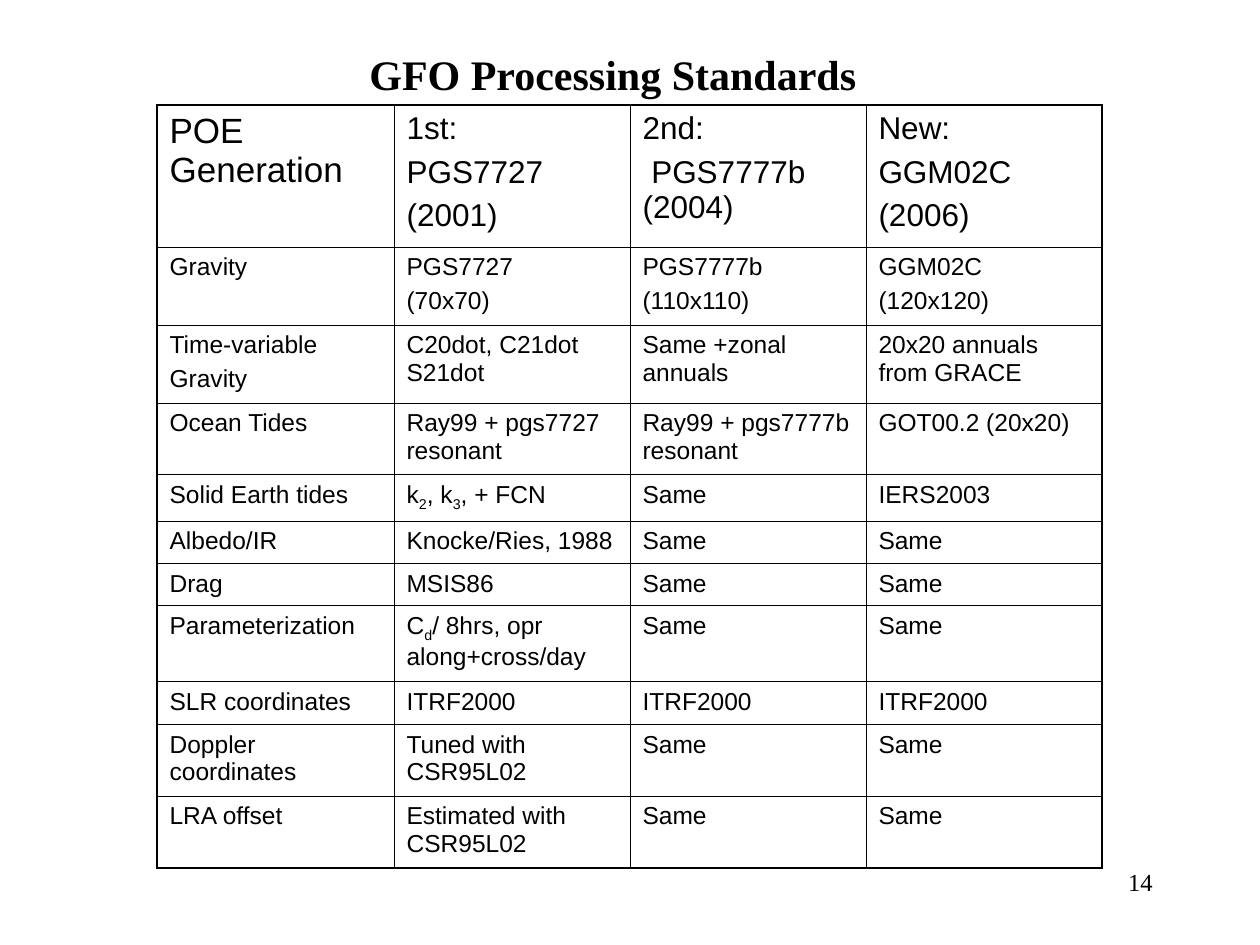
from itertools import product

from lxml.etree import SubElement
from pptx import Presentation
from pptx.dml.color import RGBColor
from pptx.enum.text import MSO_AUTO_SIZE, PP_ALIGN
from pptx.oxml.ns import qn
from pptx.util import Emu, Pt

BLACK = RGBColor(0, 0, 0)
SERIF, SANS = "Times New Roman", "Arial"
OUTER, INNER = Pt(1.08), Pt(0.45)

TITLE = "GFO Processing Standards"
PAGE_NUMBER = "14"
STANDARDS = [
    ("POE Generation", "1st:\nPGS7727\n(2001)", "2nd:\n PGS7777b (2004)", "New:\nGGM02C\n(2006)"),
    ("Gravity", "PGS7727\n(70x70)", "PGS7777b\n(110x110)", "GGM02C\n(120x120)"),
    ("Time-variable\nGravity", "C20dot, C21dot S21dot", "Same +zonal annuals",
     "20x20 annuals from GRACE"),
    ("Ocean Tides", "Ray99 + pgs7727 resonant", "Ray99 + pgs7777b resonant", "GOT00.2 (20x20)"),
    ("Solid Earth tides", "k_2, k_3, + FCN", "Same", "IERS2003"),
    ("Albedo/IR", "Knocke/Ries, 1988", "Same", "Same"),
    ("Drag", "MSIS86", "Same", "Same"),
    ("Parameterization", "C_d/ 8hrs, opr along+cross/day", "Same", "Same"),
    ("SLR coordinates", "ITRF2000", "ITRF2000", "ITRF2000"),
    ("Doppler coordinates", "Tuned with CSR95L02", "Same", "Same"),
    ("LRA offset", "Estimated with CSR95L02", "Same", "Same"),
]
COLUMN_WIDTHS = [237, 236, 236, 236]
ROW_HEIGHTS = [142, 78, 78, 71, 47, 42, 42, 76, 43, 71, 72]


def px(length):
    return Emu(round(length * 914400 / 126))


def style(font, size, family, bold=False):
    font.size, font.name, font.bold = Pt(size), family, bold
    font.color.rgb = BLACK


def add_label(slide, text, box, size, bold=False, align=PP_ALIGN.LEFT):
    frame = slide.shapes.add_textbox(*map(px, box)).text_frame
    frame.word_wrap = True
    frame.text = text
    frame.paragraphs[0].alignment = align
    style(frame.paragraphs[0].runs[0].font, size, SERIF, bold)
    return frame


def add_scripted_runs(paragraph, text, size):
    first, *marked = text.split("_")
    pieces = [(first, False)]
    for part in marked:
        pieces += [(part[0], True), (part[1:], False)]
    for piece, lowered in pieces:
        run = paragraph.add_run()
        run.text = piece
        style(run.font, size, SANS)
        if lowered:
            run._r.get_or_add_rPr().set("baseline", "-25000")


def fill_cell(cell, text, size):
    frame = cell.text_frame
    for index, line in enumerate(text.split("\n")):
        paragraph = frame.add_paragraph() if index else frame.paragraphs[0]
        if index:
            paragraph.space_before = Pt(size / 4)
        add_scripted_runs(paragraph, line, size)


def set_borders(cell, widths):
    properties = cell._tc.get_or_add_tcPr()
    for position, (side, width) in enumerate(widths.items()):
        border = SubElement(properties, qn(f"a:ln{side}"), w=str(width))
        fill = SubElement(border, qn("a:solidFill"))
        SubElement(fill, qn("a:srgbClr"), val=str(BLACK))
        properties.insert(position, border)


def add_standards(slide):
    rows, columns = len(ROW_HEIGHTS), len(COLUMN_WIDTHS)
    table = slide.shapes.add_table(
        rows, columns, px(157), px(105), px(sum(COLUMN_WIDTHS)), px(sum(ROW_HEIGHTS))
    ).table
    table.first_row = table.horz_banding = False
    for column, width in zip(table.columns, COLUMN_WIDTHS):
        column.width = px(width)
    for row, height in zip(table.rows, ROW_HEIGHTS):
        row.height = px(height)
    for r, c in product(range(rows), range(columns)):
        cell = table.cell(r, c)
        cell.fill.background()
        header_size = 18 if c else 20
        fill_cell(cell, STANDARDS[r][c], 14 if r else header_size)
        set_borders(cell, {
            "L": INNER if c else OUTER,
            "R": INNER if c < columns - 1 else OUTER,
            "T": INNER if r else OUTER,
            "B": INNER if r < rows - 1 else OUTER,
        })


def main():
    deck = Presentation()
    deck.slide_width, deck.slide_height = px(1260), px(945)
    slide = deck.slides.add_slide(deck.slide_layouts[6])
    title = add_label(slide, TITLE, (357, 42, 588, 63), 24, bold=True)
    title.auto_size = MSO_AUTO_SIZE.SHAPE_TO_FIT_TEXT
    add_standards(slide)
    add_label(slide, PAGE_NUMBER, (903, 861, 262, 63), 14, align=PP_ALIGN.RIGHT)
    deck.save("out.pptx")


if __name__ == "__main__":
    main()
